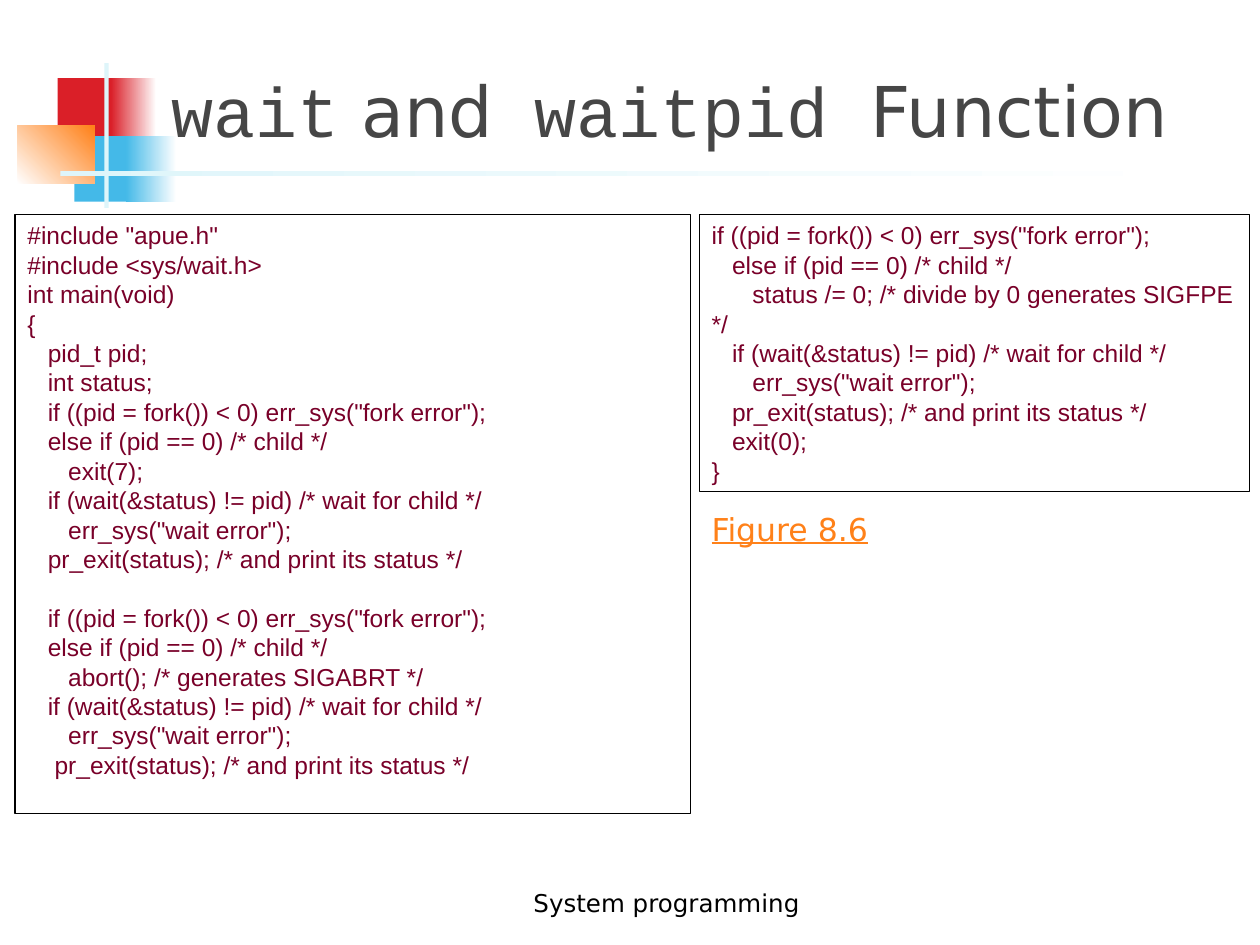
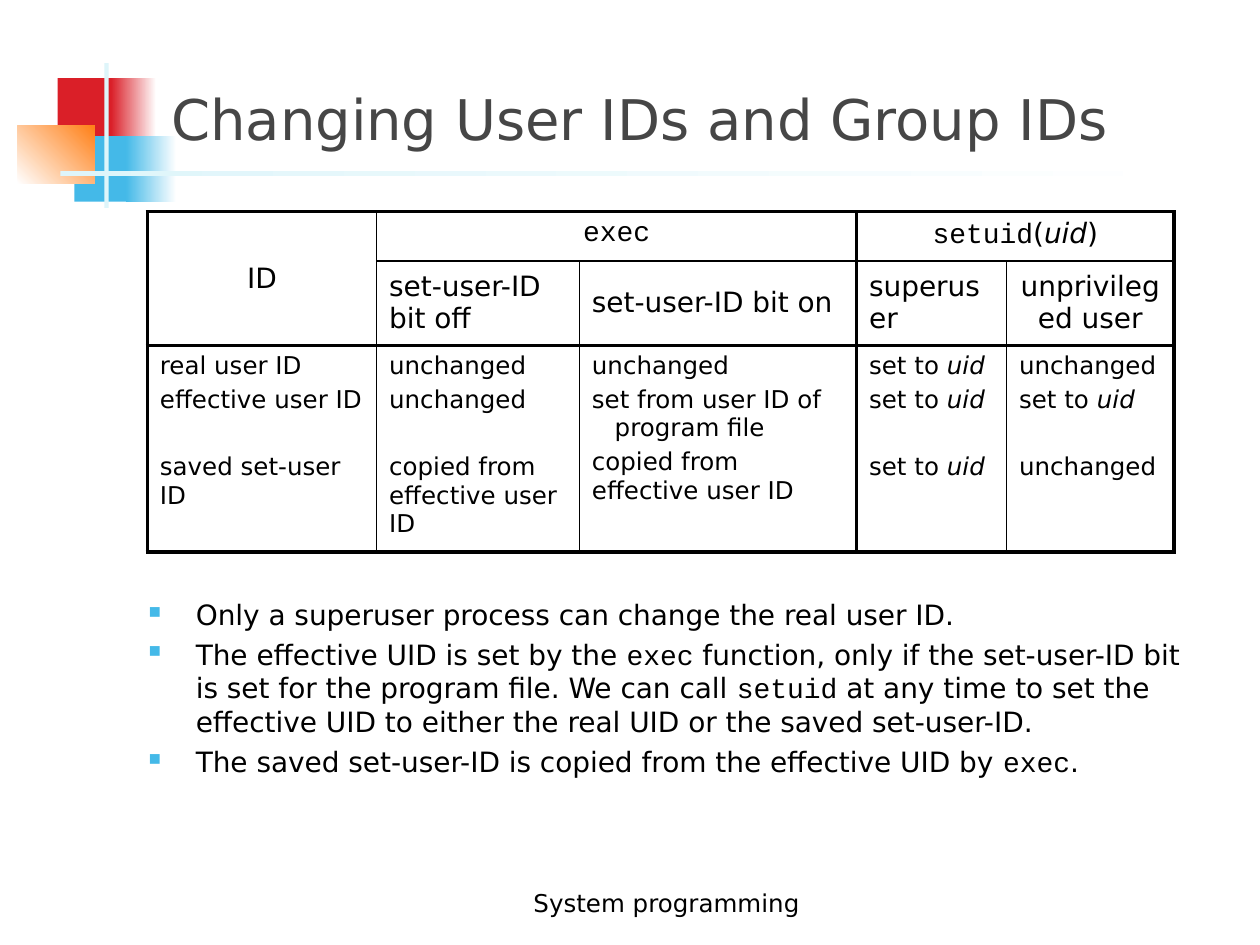
from lxml import etree
from pptx import Presentation
from pptx.dml.color import RGBColor
from pptx.enum.shapes import MSO_SHAPE
from pptx.enum.text import MSO_ANCHOR, PP_ALIGN
from pptx.oxml.ns import qn
from pptx.util import Pt

RECT = MSO_SHAPE.RECTANGLE
TOP, MIDDLE, BOTTOM = MSO_ANCHOR.TOP, MSO_ANCHOR.MIDDLE, MSO_ANCHOR.BOTTOM
LEFT, CENTER = PP_ALIGN.LEFT, PP_ALIGN.CENTER

COLORS = {
    "white": "FFFFFF", "black": "000000", "title": "464646", "code": "790029",
    "red": "DA1F28", "blue": "44B9E8", "orange": "FF8119", "pale": "DEF5FA",
}
SANS, MONO, CODE = "DejaVu Sans", "Courier New", "Arial"
THICK, THIN = 2.25, 1


def rgb(name):
    return RGBColor.from_string(COLORS[name])


def mono(text):
    return text, MONO, False


UID = ("uid", SANS, True)


# ---- text helpers ----
def add_runs(p, runs, size, color="black", font=SANS):
    """Each run is a plain string or (text, font, italic)."""
    for run in runs:
        text, name, italic = (run, font, False) if isinstance(run, str) else run
        r = p.add_run()
        r.text = text
        r.font.size = Pt(size)
        r.font.name = name
        r.font.italic = italic
        r.font.color.rgb = rgb(color)


def paragraphs(tf, count):
    return [tf.paragraphs[0]] + [tf.add_paragraph() for _ in range(count - 1)]


def add_text(slide, box, anchor=TOP, wrap=True):
    sp = slide.shapes.add_textbox(*map(Pt, box))
    tf = sp.text_frame
    tf.word_wrap = wrap
    tf.vertical_anchor = anchor
    return tf


# ---- shared frame: coloured squares, cross bars, footer, title ----
def add_block(slide, box, start, end=None, angle=0):
    sp = slide.shapes.add_shape(RECT, *map(Pt, box))
    sp.shadow.inherit = False
    sp.line.fill.background()
    if end is None:
        sp.fill.solid()
        sp.fill.fore_color.rgb = rgb(start)
        return
    sp.fill.gradient()
    sp.fill.gradient_angle = angle
    for stop, color, position in zip(sp.fill.gradient_stops, (start, end), (0, 1)):
        stop.color.rgb = rgb(color)
        stop.position = position


def add_emblem(slide, left, top):
    blocks = [
        ((23, 8.6, 34.6, 37.4), "red"),
        ((53.4, 8.6, 25.9, 37.4), "red", "white"),
        ((32.5, 41.8, 33.1, 37.4), "blue"),
        ((62, 41.8, 28.8, 37.4), "blue", "white"),
        ((0, 36, 43.9, 33.1), "white", "orange", 45),
        ((49.7, 0, 2.4, 82.8), "pale"),
        ((24.5, 61.9, 648, 2.4), "pale", "white"),
    ]
    for (x, y, w, h), *paint in blocks:
        add_block(slide, (left + x, top + y, w, h), *paint)


def add_slide(prs, title, size):
    slide = prs.slides.add_slide(prs.slide_layouts[6])
    add_emblem(slide, 10, 36)
    p = add_text(slide, (252, 491.8, 257.8, 36), BOTTOM).paragraphs[0]
    p.alignment = CENTER
    add_runs(p, ["System programming"], 14)
    p = add_text(slide, (90.7, 16.6, 613.4, 73.4), BOTTOM).paragraphs[0]
    add_runs(p, title, size, "title")
    return slide


# ---- code listing in a thin frame ----
def add_listing(slide, box, sections):
    pitch = 16.8
    sp = slide.shapes.add_shape(RECT, *map(Pt, box))
    sp.shadow.inherit = False
    sp.fill.background()
    sp.line.color.rgb = rgb("black")
    sp.line.width = Pt(0.75)
    tf = sp.text_frame
    tf.word_wrap = True
    tf.vertical_anchor = TOP
    lines = [(line, i > 0 and j == 0)
             for i, section in enumerate(sections)
             for j, line in enumerate(section.strip("\n").split("\n"))]
    for p, (line, opens_section) in zip(paragraphs(tf, len(lines)), lines):
        p.alignment = LEFT
        p.line_spacing = Pt(pitch)
        if opens_section:
            p.space_before = Pt(pitch)
        add_runs(p, [line], 14, "code", CODE)


# ---- table of user IDs ----
def set_borders(cell, widths):
    tcPr = cell._tc.get_or_add_tcPr()
    for i, (side, width) in enumerate(zip("LRTB", widths)):
        ln = etree.Element(qn(f"a:ln{side}"), w=str(Pt(width)))
        fill = etree.SubElement(ln, qn("a:solidFill"))
        etree.SubElement(fill, qn("a:srgbClr"), val=COLORS["black"])
        tcPr.insert(i, ln)


def fill_cell(cell, items, size, align=LEFT, anchor=TOP):
    """Each item is (runs, space before, hanging indent)."""
    cell.vertical_anchor = anchor
    for p, (runs, before, hang) in zip(paragraphs(cell.text_frame, len(items)), items):
        p.alignment = align
        if before:
            p.space_before = Pt(before)
        if hang:
            pPr = p._p.get_or_add_pPr()
            pPr.set("marL", str(Pt(hang)))
            pPr.set("indent", str(-Pt(hang)))
        add_runs(p, runs, size)


def add_id_table(slide, left, top):
    cols = [131, 115.9, 158.4, 85.7, 95.8]
    rows = [28.1, 48.2, 118.1]
    x_rules = [THICK, THIN, THIN, THICK, THIN, THICK]
    y_rules = [THICK, THIN, THICK, THICK]
    frame = slide.shapes.add_table(len(rows), len(cols), Pt(left), Pt(top),
                                   Pt(sum(cols)), Pt(sum(rows)))
    table = frame.table
    table.first_row = table.horz_banding = False
    for col, width in zip(table.columns, cols):
        col.width = Pt(width)
    for row, height in zip(table.rows, rows):
        row.height = Pt(height)
    for (r1, c1), (r2, c2) in [((0, 0), (1, 0)), ((0, 1), (0, 2)), ((0, 3), (0, 4))]:
        table.cell(r1, c1).merge(table.cell(r2, c2))

    # Fills and rules
    for r in range(len(rows)):
        for c in range(len(cols)):
            cell = table.cell(r, c)
            cell.fill.background()
            if not cell.is_spanned:
                w = cell.span_width if cell.is_merge_origin else 1
                h = cell.span_height if cell.is_merge_origin else 1
                set_borders(cell, (x_rules[c], x_rules[c + w], y_rules[r], y_rules[r + h]))

    # Headings
    headings = [
        (0, 0, ["ID"], CENTER, MIDDLE),
        (0, 1, [mono("exec")], CENTER, TOP),
        (0, 3, [mono("setuid"), "(", UID, ")"], CENTER, TOP),
        (1, 1, ["set-user-ID bit off"], LEFT, MIDDLE),
        (1, 2, ["set-user-ID bit on"], LEFT, MIDDLE),
        (1, 3, ["superuser"], LEFT, MIDDLE),
        (1, 4, ["unprivileged user"], CENTER, MIDDLE),
    ]
    for r, c, runs, align, anchor in headings:
        fill_cell(table.cell(r, c), [(runs, 0, 0)], 16, align, anchor)

    # Real, effective and saved IDs, one column per case
    near, far = 2.8, 22
    set_to_uid = ["set to ", UID]
    copied = ["copied from effective user ID"]
    cases = [
        (["real user ID"], ["effective user ID"], ["saved set-user ID"]),
        (["unchanged"], ["unchanged"], copied),
        (["unchanged"], ["set from user ID of program file"], copied),
        (set_to_uid, set_to_uid, set_to_uid),
        (["unchanged"], set_to_uid, ["unchanged"]),
    ]
    for c, (real, effective, saved) in enumerate(cases):
        two_lines = c == 2
        items = [(real, 0, 0), (effective, near, 13 if two_lines else 0),
                 (saved, near if two_lines else far, 0)]
        fill_cell(table.cell(2, c), items, 14)


# ---- bulleted notes ----
def add_bullets(slide, box, items):
    tf = add_text(slide, box)
    for i, (p, runs) in enumerate(zip(paragraphs(tf, len(items)), items)):
        p.line_spacing = Pt(19.4)
        if i:
            p.space_before = Pt(3.2)
        pPr = p._p.get_or_add_pPr()
        pPr.set("marL", str(Pt(27)))
        pPr.set("indent", str(-Pt(27)))
        color = etree.SubElement(pPr, qn("a:buClr"))
        etree.SubElement(color, qn("a:srgbClr"), val=COLORS["blue"])
        etree.SubElement(pPr, qn("a:buSzPct"), val="60000")
        etree.SubElement(pPr, qn("a:buChar"), char="■")
        add_runs(p, runs, 16)


# ---- slide content ----
EXIT_CODE = """
#include "apue.h"
#include <sys/wait.h>
int main(void)
{
   pid_t pid;
   int status;
   if ((pid = fork()) < 0) err_sys("fork error");
   else if (pid == 0) /* child */
      exit(7);
   if (wait(&status) != pid) /* wait for child */
      err_sys("wait error");
   pr_exit(status); /* and print its status */
"""
ABORT_CODE = """
   if ((pid = fork()) < 0) err_sys("fork error");
   else if (pid == 0) /* child */
      abort(); /* generates SIGABRT */
   if (wait(&status) != pid) /* wait for child */
      err_sys("wait error");
    pr_exit(status); /* and print its status */
"""
DIVIDE_CODE = """
if ((pid = fork()) < 0) err_sys("fork error");
   else if (pid == 0) /* child */
      status /= 0; /* divide by 0 generates SIGFPE */
   if (wait(&status) != pid) /* wait for child */
      err_sys("wait error");
   pr_exit(status); /* and print its status */
   exit(0);
}
"""
NOTES = [
    ["Only a superuser process can change the real user ID."],
    ["The effective UID is set by the ", mono("exec"),
     " function, only if the set-user-ID bit is set for the program file. We can call ",
     mono("setuid"),
     " at any time to set the effective UID to either the real UID or the saved set-user-ID."],
    ["The saved set-user-ID is copied from the effective UID by ", mono("exec"), "."],
]


def wait_slide(prs):
    title = [mono("wait"), " and", mono(" waitpid "), "Function"]
    slide = add_slide(prs, title, 40)
    add_listing(slide, (8.6, 122.4, 385.9, 342.7), [EXIT_CODE, ABORT_CODE])
    add_listing(slide, (399.6, 122.4, 314.6, 158.4), [DIVIDE_CODE])
    p = add_text(slide, (399.6, 288, 106.6, 28.8), wrap=False).paragraphs[0]
    add_runs(p, ["Figure 8.6"], 18, "orange")
    p.runs[0].font.underline = True


def user_id_slide(prs):
    slide = add_slide(prs, ["Changing User IDs and Group IDs"], 32)
    add_id_table(slide, 84.2, 121)
    add_bullets(slide, (77.8, 337.7, 612, 136.1), NOTES)


def main():
    prs = Presentation()
    prs.slide_width, prs.slide_height = Pt(720), Pt(540)
    wait_slide(prs)
    user_id_slide(prs)
    prs.save("out.pptx")


if __name__ == "__main__":
    main()
